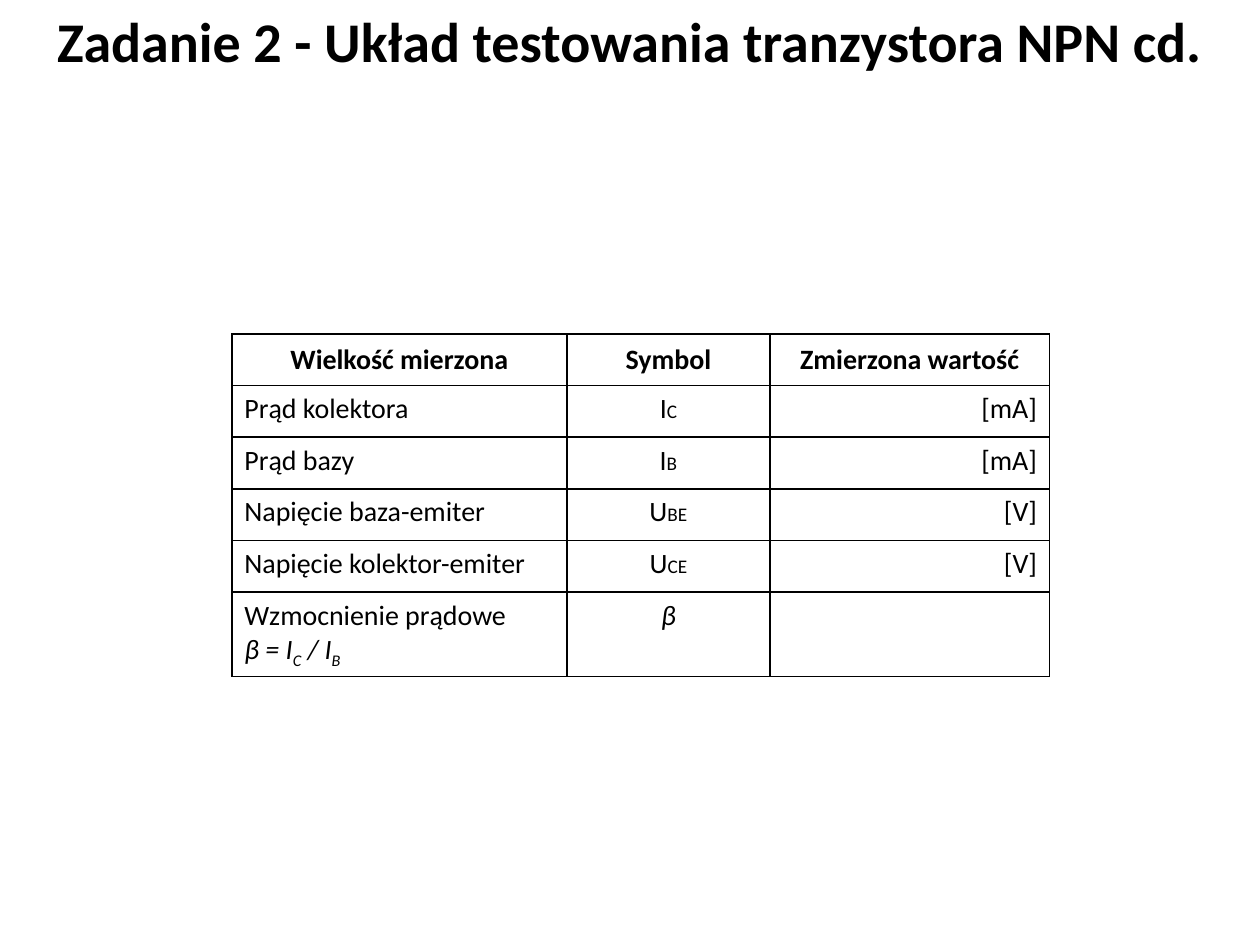
"""Build the slide with the NPN transistor measurement table."""
from dataclasses import dataclass

from lxml import etree
from pptx import Presentation
from pptx.dml.color import RGBColor
from pptx.enum.text import MSO_ANCHOR, MSO_AUTO_SIZE, PP_ALIGN
from pptx.oxml.ns import qn
from pptx.util import Inches, Pt

LEFT, CENTER, RIGHT = PP_ALIGN.LEFT, PP_ALIGN.CENTER, PP_ALIGN.RIGHT
TOP, MIDDLE = MSO_ANCHOR.TOP, MSO_ANCHOR.MIDDLE
FIT_SHAPE = MSO_AUTO_SIZE.SHAPE_TO_FIT_TEXT
TITLE_ONLY = 5


@dataclass(frozen=True)
class Theme:
    font: str = "Calibri"
    ink: str = "000000"
    title: int = 32
    body: int = 16
    small: int = 11
    border: float = 1
    subscript: int = -25000


@dataclass(frozen=True)
class Run:
    text: str
    size: int | None = None
    subscript: bool = False


@dataclass(frozen=True)
class Line:
    runs: tuple[Run, ...]
    bold: bool = False
    italic: bool = False


@dataclass(frozen=True)
class Measurement:
    quantity: tuple[Line, ...]
    symbol: Line
    unit: str


THEME = Theme()
HEADERS = ("Wielkość mierzona", "Symbol", "Zmierzona wartość")
COLUMN_WIDTHS = (2.66, 1.61, 2.22)
ROW_HEIGHT, LAST_ROW_HEIGHT = 0.41, 0.65


def plain(text: str, bold: bool = False, italic: bool = False) -> Line:
    """Make a line of one run."""
    return Line((Run(text),), bold, italic)


def measured(quantity: str, letter: str, index: str, unit: str) -> Measurement:
    """Make a measurement whose symbol carries a small index."""
    symbol = Line((Run(letter), Run(index, THEME.small)))
    return Measurement((plain(quantity),), symbol, unit)


GAIN_FORMULA = Line((Run("β = I"), Run("C", subscript=True),
                     Run(" / I"), Run("B", subscript=True)), italic=True)
MEASUREMENTS = (
    measured("Prąd kolektora", "I", "C", "[mA]"),
    measured("Prąd bazy", "I", "B", "[mA]"),
    measured("Napięcie baza-emiter", "U", "BE", "[V]"),
    measured("Napięcie kolektor-emiter", "U", "CE", "[V]"),
    Measurement((plain("Wzmocnienie prądowe"), GAIN_FORMULA),
                plain("β", italic=True), ""),
)


def write_line(p, line: Line, size: int, align) -> None:
    """Write one formatted paragraph."""
    p.alignment = align
    p.font.name, p.font.size = THEME.font, Pt(size)
    p.font.bold, p.font.italic = line.bold, line.italic
    p.font.color.rgb = RGBColor.from_string(THEME.ink)
    for run in line.runs:
        if not run.text:
            continue
        r = p.add_run()
        r.text = run.text
        if run.size:
            r.font.size = Pt(run.size)
        if run.subscript:
            r.font._element.set("baseline", str(THEME.subscript))


def add_borders(cell) -> None:
    """Draw a thin line on all four sides of a cell."""
    tc_pr = cell._tc.get_or_add_tcPr()
    for side in ("lnL", "lnR", "lnT", "lnB"):
        ln = etree.SubElement(tc_pr, qn(f"a:{side}"), w=str(Pt(THEME.border)))
        fill = etree.SubElement(ln, qn("a:solidFill"))
        etree.SubElement(fill, qn("a:srgbClr"), val=THEME.ink)


def fill_cell(cell, lines: tuple[Line, ...], align, anchor=TOP) -> None:
    """Write the lines of a cell and style it."""
    tf = cell.text_frame
    for i, line in enumerate(lines):
        p = tf.add_paragraph() if i else tf.paragraphs[0]
        write_line(p, line, THEME.body, align)
    cell.vertical_anchor = anchor
    add_borders(cell)
    cell.fill.background()


def add_title(slide, text: str) -> None:
    """Place the title across the top of the slide."""
    sp = slide.shapes.title
    sp.left, sp.top, sp.width, sp.height = map(Inches, (0, 0, 10, 0.64))
    tf = sp.text_frame
    tf.word_wrap, tf.auto_size = True, FIT_SHAPE
    tf.vertical_anchor = TOP
    write_line(tf.paragraphs[0], plain(text, bold=True), THEME.title, CENTER)


def add_measurement_table(slide) -> None:
    """Add the table of measured quantities."""
    heights = [ROW_HEIGHT] * len(MEASUREMENTS) + [LAST_ROW_HEIGHT]
    table = slide.shapes.add_table(
        len(heights), len(HEADERS), Inches(1.84), Inches(2.65),
        Inches(sum(COLUMN_WIDTHS)), Inches(sum(heights))).table
    table.first_row = table.horz_banding = False
    for column, width in zip(table.columns, COLUMN_WIDTHS):
        column.width = Inches(width)
    for row, height in zip(table.rows, heights):
        row.height = Inches(height)
    for col, header in enumerate(HEADERS):
        fill_cell(table.cell(0, col), (plain(header, bold=True),), CENTER, MIDDLE)
    for row, item in enumerate(MEASUREMENTS, start=1):
        fill_cell(table.cell(row, 0), item.quantity, LEFT)
        fill_cell(table.cell(row, 1), (item.symbol,), CENTER)
        fill_cell(table.cell(row, 2), (plain(item.unit),), RIGHT)


def main() -> None:
    """Build and save the presentation."""
    prs = Presentation()
    prs.slide_width, prs.slide_height = Inches(10), Inches(7.5)
    slide = prs.slides.add_slide(prs.slide_layouts[TITLE_ONLY])
    add_measurement_table(slide)
    add_title(slide, "Zadanie 2 - Układ testowania tranzystora NPN cd.")
    prs.save("out.pptx")


if __name__ == "__main__":
    main()
